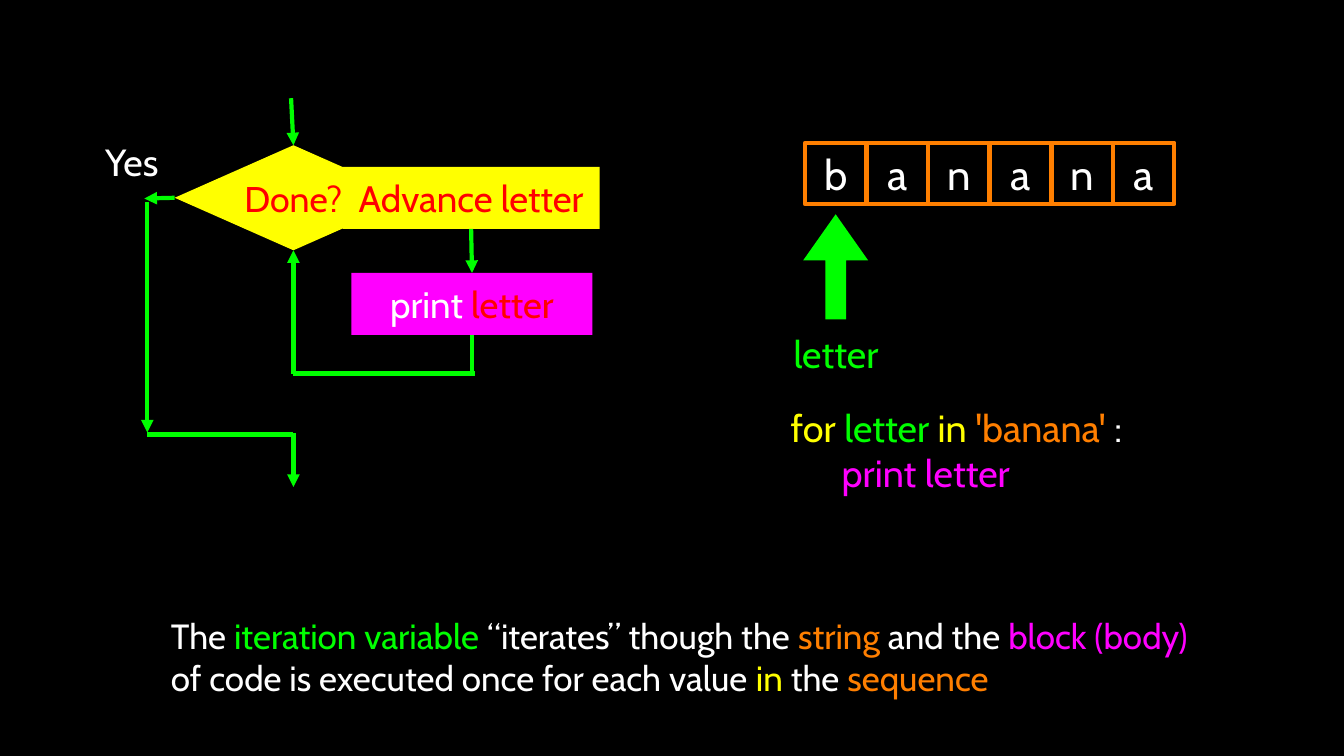
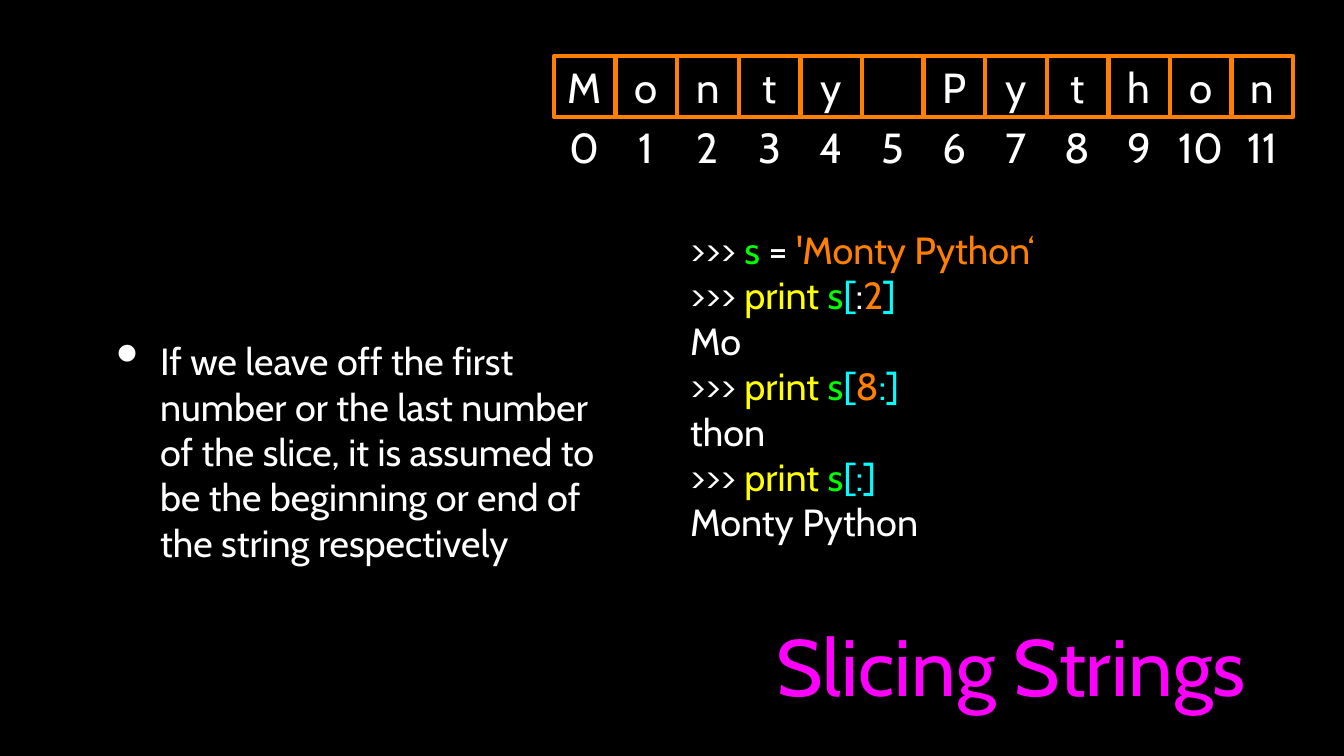
from lxml import etree
from pptx import Presentation, util as u
from pptx.dml.color import RGBColor
from pptx.enum import shapes, text
from pptx.oxml.ns import qn

COLOURS = {
    "black": "000000", "white": "FFFFFF", "red": "FF0000", "green": "00FF00",
    "yellow": "FFFF00", "magenta": "FF00FF", "orange": "FF7F00", "cyan": "00FFFF",
}
SHAPE = shapes.MSO_SHAPE
TOP, LEFT, BOTTOM = 0, 1, 2  # connection sites
CELL, PITCH = 2.06, 2.07


def rgb(name):
    return RGBColor.from_string(COLOURS[name])


class Lesson:
    """Deck style plus the slide being filled; lengths are centimetres."""
    font = "Cabin"
    line_width = u.Pt(4)

    def __init__(self, width, height):
        self.deck = Presentation()
        self.deck.slide_width, self.deck.slide_height = u.Cm(width), u.Cm(height)
        self.page = None

    def new_page(self):
        self.page = self.deck.slides.add_slide(self.deck.slide_layouts[6])
        fill = self.page.background.fill
        fill.solid()
        fill.fore_color.rgb = rgb("black")

    def fill_text(self, box, lines, size, centred=True, inset=0.0, bullet=False):
        """Each line is a list of (words, colour) spans."""
        frame = box.text_frame
        frame.word_wrap = True
        frame.vertical_anchor = text.MSO_ANCHOR.MIDDLE
        frame.margin_left = frame.margin_right = u.Cm(inset)
        frame.margin_top = frame.margin_bottom = u.Cm(inset)
        for number, spans in enumerate(lines):
            para = frame.paragraphs[0] if number == 0 else frame.add_paragraph()
            para.alignment = text.PP_ALIGN.CENTER if centred else text.PP_ALIGN.LEFT
            if bullet:
                self.add_bullet(para)
            para.font.name, para.font.size = self.font, u.Pt(size)
            one_colour = len({colour for _, colour in spans}) == 1
            if one_colour:
                para.font.color.rgb = rgb(spans[0][1])
            for words, colour in spans:
                span = para.add_run()
                span.text = words
                if not one_colour:
                    span.font.color.rgb = rgb(colour)

    def add_bullet(self, para):
        props = para._p.get_or_add_pPr()
        props.set("marL", str(u.Cm(2.08)))
        props.set("indent", str(u.Cm(-1.47)))
        colour = etree.SubElement(props, qn("a:buClr"))
        etree.SubElement(colour, qn("a:srgbClr"), val=COLOURS["white"])
        etree.SubElement(props, qn("a:buSzPct"), val="171000")
        etree.SubElement(props, qn("a:buChar"), char="•")

    def label(self, place, lines, size=36, **style):
        box = self.page.shapes.add_textbox(*map(u.Cm, place))
        self.fill_text(box, lines, size, **style)

    def shape(self, kind, place, fill=None, line=None, spans=None, size=35):
        box = self.page.shapes.add_shape(kind, *map(u.Cm, place))
        box.shadow.inherit = False
        if fill:
            box.fill.solid()
            box.fill.fore_color.rgb = rgb(fill)
        else:
            box.fill.background()
        if line:
            box.line.color.rgb = rgb(line)
            box.line.width = self.line_width
        else:
            box.line.fill.background()
        if spans:
            self.fill_text(box, [spans], size)
        return box

    def flow(self, start, end, arrow=True):
        """An end is an (x, y) point or a (box, site) joint."""
        ends = (start, end)
        joined = [not isinstance(spot[0], (int, float)) for spot in ends]
        points = [(0, 0) if joint else spot for spot, joint in zip(ends, joined)]
        link = self.page.shapes.add_connector(
            shapes.MSO_CONNECTOR.STRAIGHT, *(u.Cm(v) for point in points for v in point))
        for spot, joint, connect in zip(ends, joined, (link.begin_connect, link.end_connect)):
            if joint:
                connect(*spot)
        link.line.color.rgb = rgb("green")
        link.line.width = self.line_width
        if arrow:
            etree.SubElement(link.line._get_or_add_ln(), qn("a:tailEnd"), type="triangle")
        etree.SubElement(link._element.spPr, qn("a:effectLst"))

    def letter_cells(self, left, top, word, numbered=False):
        for index, letter in enumerate(word):
            x = left + index * PITCH
            if numbered:
                self.label((x, top + 2.03, CELL, CELL), [[(str(index), "white")]], 40)
            spans = [(letter, "white")] if letter.strip() else None
            self.shape(SHAPE.RECTANGLE, (x, top, CELL, CELL), line="orange",
                       spans=spans, size=40)


def loop_page(lesson):
    lesson.new_page()

    # Flowchart boxes
    done = lesson.shape(SHAPE.DIAMOND, (5.87, 4.88, 7.98, 3.53), "yellow",
                        spans=[("Done?", "red")], size=34)
    show = lesson.shape(SHAPE.RECTANGLE, (11.81, 9.17, 8.1, 2.08), "magenta",
                        spans=[("print ", "white"), ("letter", "red")])
    advance = lesson.shape(SHAPE.RECTANGLE, (11.51, 5.61, 8.64, 2.08), "yellow",
                           spans=[("Advance letter", "red")])
    lesson.label((3.4, 4.65, 2.06, 1.52), [[("Yes", "white")]])

    # Way in and loop
    axis, loop_y, exit_x, exit_y = 9.86, 12.55, 4.95, 14.6
    lesson.flow((axis - 0.08, 3.3), (done, TOP))
    lesson.flow((advance, BOTTOM), (show, TOP))
    lesson.flow((show, BOTTOM), (15.86, loop_y), arrow=False)
    lesson.flow((15.95, loop_y), (axis, loop_y), arrow=False)
    lesson.flow((axis, loop_y), (done, BOTTOM))

    # Way out
    lesson.flow((done, LEFT), (exit_x - 0.1, 6.67))
    lesson.flow((exit_x, 6.8), (exit_x, exit_y - 0.07))
    lesson.flow((exit_x, exit_y), (axis, exit_y), arrow=False)
    lesson.flow((axis, exit_y - 0.05), (axis, 16.36))

    # String with its iteration variable
    lesson.letter_cells(27.05, 4.8, "banana")
    pointer = lesson.shape(SHAPE.UP_ARROW, (26.99, 7.2, 2.18, 3.53), "green")
    pointer.adjustments[0], pointer.adjustments[1] = 0.32, 0.71
    lesson.label((26.49, 11.1, 3.2, 1.52), [[("letter", "green")]])

    # Code and summary
    lesson.label((26.57, 13.59, 13.11, 3.05), [
        [("for ", "yellow"), ("letter ", "green"), ("in ", "yellow"),
         ("'banana' ", "orange"), (":", "white")],
        [("      print letter", "magenta")],
    ], centred=False)
    lesson.label((5.74, 20.47, 34.57, 3.18), [[
        ("The", "white"), (" iteration variable ", "green"),
        ("“iterates” though the ", "white"), ("string ", "orange"),
        ("and the ", "white"), ("block (body)", "magenta"),
        (" of code is executed once for each value ", "white"), ("in", "yellow"),
        (" the ", "white"), ("sequence", "orange"),
    ]], 33.3, centred=False)


def slicing_page(lesson):
    lesson.new_page()

    # Explanation and title
    lesson.label((3.2, 7.24, 17.88, 15.85), [[(
        "If we leave off the first number or the last number of the slice, "
        "it is assumed to be the beginning or end of the string respectively", "white")]],
        centred=False, inset=0.1, bullet=True)
    lesson.label((24.69, 19.66, 18.57, 5.33), [[("Slicing Strings", "magenta")]],
                 76, inset=0.1)

    # Interpreter session
    prompt = (">>> ", "white")
    print_s = [prompt, ("print ", "yellow"), ("s", "green")]
    lesson.label((23.19, 7.62, 13.36, 10.67), [
        [prompt, ("s", "green"), (" = ", "white"), ("'Monty Python‘", "orange")],
        print_s + [("[", "cyan"), (":", "white"), ("2", "orange"), ("]", "cyan")],
        [("Mo", "white")],
        print_s + [("[", "cyan"), ("8", "orange"), (":]", "cyan")],
        [("thon", "white")],
        print_s + [("[:]", "cyan")],
        [("Monty Python", "white")],
    ], centred=False)

    # Indexed letters
    lesson.letter_cells(18.62, 1.88, "Monty Python", numbered=True)


def main():
    lesson = Lesson(45.16, 25.4)
    loop_page(lesson)
    slicing_page(lesson)
    lesson.deck.save("out.pptx")


if __name__ == "__main__":
    main()
